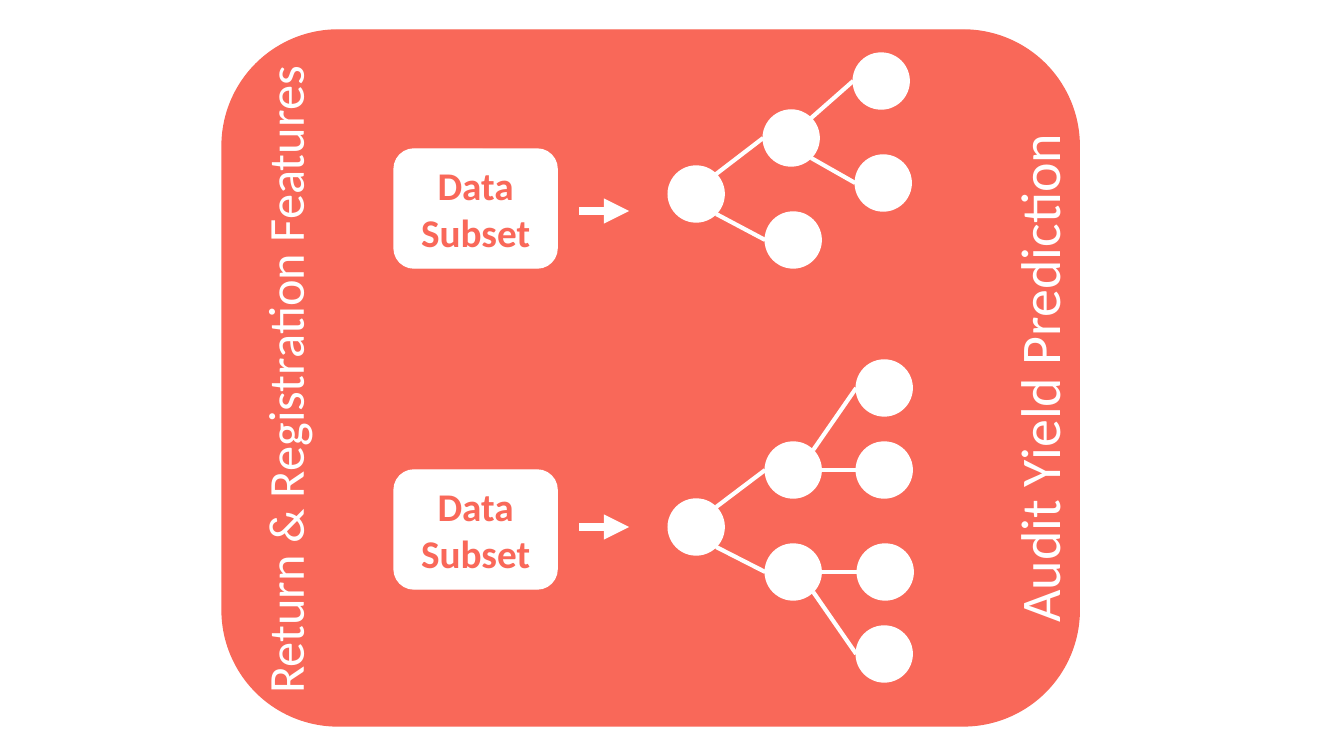
from lxml import etree
from pptx import Presentation, util as u
from pptx.dml.color import RGBColor
from pptx.enum import shapes as sh, text as tx
from pptx.oxml.ns import qn

CORAL = RGBColor(0xF9, 0x68, 0x59)
WHITE = RGBColor(0xFF, 0xFF, 0xFF)
SCALE = 914400 / 100.8
RAD = 28   # node radius
DIAG = 20  # node radius along each axis at 45 degrees

# Nodes: centre x, centre y, index of parent
TREES = [
    [(696, 194, None), (791, 138, 0), (793, 240, 0),
     (881, 81, 1), (883, 183, 1)],
    [(696, 527, None), (793, 470, 0), (793, 572, 0), (884, 388, 1),
     (884, 470, 1), (885, 572, 2), (884, 654, 2)],
]
# Data boxes: box top, arrow height
ROWS = [(149, 211), (470, 527)]


def px(*nums):
    return [u.Emu(round(n * SCALE)) for n in nums]


def write(frame, words, **form):
    frame.word_wrap = True
    para = frame.paragraphs[0]
    para.alignment = tx.PP_ALIGN.CENTER
    run = para.add_run()
    run.text = words
    color = form.pop("color")
    for key, val in {"name": "Calibri", **form}.items():
        setattr(run.font, key, val)
    run.font.color.rgb = color


def block(slide, kind, box, color):
    shape = slide.shapes.add_shape(kind, *px(*box))
    shape.shadow.inherit = False
    shape.fill.solid()
    shape.fill.fore_color.rgb = color
    shape.line.color.rgb = color
    shape.line.width = u.Pt(1)
    return shape


def link(slide, ends, width, arrow=False):
    line = slide.shapes.add_connector(sh.MSO_CONNECTOR.STRAIGHT, *px(*ends))
    line.line.color.rgb = WHITE
    line.line.width = u.Pt(width)
    props = line._element.spPr
    if arrow:
        etree.SubElement(line.line._get_or_add_ln(), qn("a:tailEnd"),
                         type="triangle")
    etree.SubElement(props, qn("a:effectLst"))


def tree(slide, nodes):
    for x, y, _ in nodes:
        block(slide, sh.MSO_SHAPE.OVAL,
              (x - RAD, y - RAD, 2 * RAD, 2 * RAD), WHITE)
    for x, y, top in nodes:
        if top is None:
            continue
        px0, py0, _ = nodes[top]
        # Level branches leave from the side, others from the diagonal
        if y == py0:
            start = (px0 + RAD, py0)
        else:
            start = (px0 + DIAG, py0 + (DIAG if y > py0 else -DIAG))
        link(slide, (*start, x - RAD, y), 3)


def label(slide, words, mid, high, size):
    wide = 692
    box = slide.shapes.add_textbox(
        *px(mid[0] - wide / 2, mid[1] - high / 2, wide, high))
    box.rotation = 270
    write(box.text_frame, words, size=u.Pt(size), color=WHITE)


def data(slide, top):
    box = block(slide, sh.MSO_SHAPE.ROUNDED_RECTANGLE,
                (394, top, 163, 119), WHITE)
    box.text_frame.vertical_anchor = tx.MSO_ANCHOR.MIDDLE
    write(box.text_frame, "Data Subset", size=u.Pt(28), bold=True,
          color=CORAL)


def main():
    prs = Presentation()
    prs.slide_width, prs.slide_height = u.Inches(13.33), u.Inches(7.5)
    slide = prs.slides.add_slide(prs.slide_layouts[6])

    # Panel
    block(slide, sh.MSO_SHAPE.ROUNDED_RECTANGLE, (222, 30, 857, 696), CORAL)

    # Decision trees
    for nodes in TREES:
        tree(slide, nodes)

    # Input and output labels
    label(slide, "Return & Registration Features", (284, 380), 71, 36)
    label(slide, "Audit Yield Prediction", (1038, 378), 78, 40)

    # Data subsets and their arrows
    for top, mid in ROWS:
        link(slide, (579, mid, 629, mid), 6, arrow=True)
        data(slide, top)

    prs.save("out.pptx")


main()
